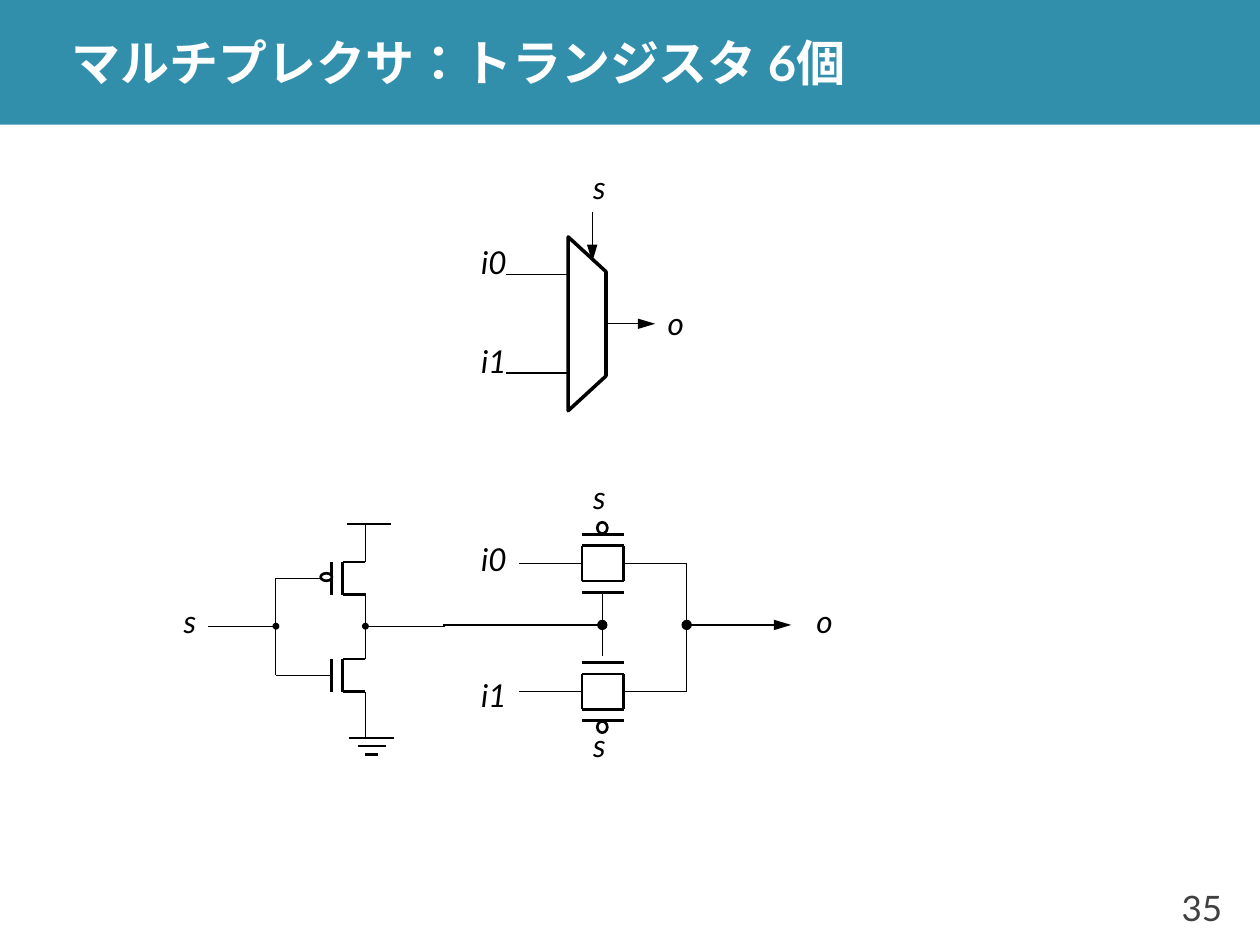
from lxml import etree
from pptx import Presentation
from pptx.dml.color import RGBColor
from pptx.enum import lang, shapes as sh, text as tx
from pptx.oxml import ns
from pptx.util import Inches, Pt

TEAL = RGBColor(0x32, 0x8F, 0xAC)
WHITE = RGBColor(0xFF, 0xFF, 0xFF)
BLACK = RGBColor(0, 0, 0)
GRAY = RGBColor(0x40, 0x40, 0x40)
FONT = "Lato"
THIN, WIRE, PLATE, BOLD = 0.25, 0.75, 1.5, 2
# Line ends: type, width, length
ARROW = ("triangle", "med", "lg")
DOT = ("oval", "med", "med")
SMALL_DOT = ("oval", "sm", "sm")


def style_text(sp, value, size, color, bold=False, italic=False,
               align=tx.PP_ALIGN.LEFT, wrap=False):
    tf = sp.text_frame
    tf.text = value
    tf.word_wrap = wrap
    tf.vertical_anchor = tx.MSO_ANCHOR.MIDDLE
    p = tf.paragraphs[0]
    p.alignment = align
    font = p.runs[0].font
    font.name, font.size, font.bold, font.italic = FONT, Pt(size), bold, italic
    font.color.rgb = color


def label(slide, box, x, y, value):
    """Italic signal name in a square whose corner is x, y from the box."""
    sp = slide.shapes.add_textbox(Inches(box[0] + x), Inches(box[1] + y),
                                  Inches(0.39), Inches(0.39))
    style_text(sp, value, 18, BLACK, italic=True)
    sp.text_frame.margin_right = 0


def wire(slide, box, x1, y1, x2, y2, width=WIRE, head=None, tail=None):
    """Straight line with optional ends."""
    c = slide.shapes.add_connector(
        sh.MSO_CONNECTOR.STRAIGHT, Inches(box[0] + x1), Inches(box[1] + y1),
        Inches(box[0] + x2), Inches(box[1] + y2))
    c.line.color.rgb = BLACK
    c.line.width = Pt(width)
    sp_pr = c.element.spPr
    ln = sp_pr.find(ns.qn("a:ln"))
    for tag, end in (("a:headEnd", head), ("a:tailEnd", tail)):
        if end:
            kind, w, length = end
            etree.SubElement(ln, ns.qn(tag), type=kind, w=w, len=length)
    etree.SubElement(sp_pr, ns.qn("a:effectLst"))


def channel(slide, box, *points):
    """Thick straight lines from each point to the next."""
    for start, end in zip(points, points[1:]):
        wire(slide, box, *start, *end, PLATE)


def path(slide, box, *points):
    """Bent wire through several points."""
    pts = [(Inches(box[0] + x), Inches(box[1] + y)) for x, y in points]
    fb = slide.shapes.build_freeform(*pts[0])
    fb.add_line_segments(pts[1:], close=False)
    sp = fb.convert_to_shape()
    sp.shadow.inherit = False
    sp.fill.background()
    sp.line.color.rgb = BLACK
    sp.line.width = Pt(0.5)


def outline(slide, box, kind, x, y, w, h, width=PLATE):
    """White preset shape with a black line, centred on x, y."""
    sp = slide.shapes.add_shape(kind, Inches(box[0] + x - w / 2),
                                Inches(box[1] + y - h / 2), Inches(w), Inches(h))
    sp.shadow.inherit = False
    sp.fill.solid()
    sp.fill.fore_color.rgb = WHITE
    sp.line.color.rgb = BLACK
    sp.line.width = Pt(width)
    return sp


def header(slide, left, top, width, height):
    title = slide.shapes.title
    band = slide.shapes.add_shape(sh.MSO_SHAPE.RECTANGLE, Inches(left), Inches(top),
                                  Inches(width), Inches(height))
    band.shadow.inherit = False
    band.fill.solid()
    band.fill.fore_color.rgb = TEAL
    band.line.fill.background()
    title.element.addprevious(band.element)
    title.left, title.top = Inches(left + 0.47), Inches(top)
    title.width, title.height = Inches(width - 0.47), Inches(height)
    style_text(title, "マルチプレクサ：トランジスタ 6個", 28, WHITE, bold=True, wrap=True)
    tf = title.text_frame
    tf.margin_top = tf.margin_bottom = 0
    tf.paragraphs[0].runs[0].font.language_id = lang.MSO_LANGUAGE_ID.JAPANESE


def page_number(slide, left, top, width, height):
    sp = slide.shapes.add_textbox(Inches(left), Inches(top), Inches(width), Inches(height))
    style_text(sp, "35", 20, GRAY, align=tx.PP_ALIGN.RIGHT)


def mux_symbol(slide, *box):
    for i, y in enumerate((0.89, 1.67)):
        wire(slide, box, 0.3, y, 0.79, y)
        label(slide, box, 0, 0.59 + 0.79 * i, f"i{i}")
    wire(slide, box, 0.98, 1.28, 1.48, 1.28, tail=ARROW)
    body = outline(slide, box, sh.MSO_SHAPE.FLOWCHART_MANUAL_OPERATION,
                   0.94, 1.28, 0.3 + 1.08, 0.3, BOLD)
    body.rotation = 270
    wire(slide, box, 0.98, 0.39, 0.98, 0.79, tail=ARROW)
    label(slide, box, 0.89, 0, "s")
    label(slide, box, 1.48, 1.08, "o")


def mosfet(slide, box, x, y):
    """Gate plate at x and channel to its right, y at the top lead."""
    bottom, body, lead = y + 0.26, x + 0.09, x + 0.27
    channel(slide, box, (x, y), (x, bottom))
    channel(slide, box, (lead, y), (body, y), (body, bottom), (lead, bottom))


def inverter(slide, *box):
    mid, gate_x, out_x = 0.81, 1.27, 1.54
    # Input and the two gates
    label(slide, box, 0, 0.57, "s")
    wire(slide, box, 0.83, mid, 0.29, mid, THIN, head=SMALL_DOT)
    path(slide, box, (0.83, 1.2), (0.83, 0.43), (1.19, 0.43))
    wire(slide, box, 0.83, 1.2, gate_x, 1.2)
    for y in (0.3, 1.07):
        mosfet(slide, box, gate_x, y)
    outline(slide, box, sh.MSO_SHAPE.OVAL, 1.23, 0.42, 0.09, 0.06)
    # Supply, output and ground
    for y1, y2 in ((0, 0.3), (0.55, 1.07), (1.33, 1.69)):
        wire(slide, box, out_x, y1, out_x, y2, THIN)
    wire(slide, box, out_x, mid, 2.17, mid, THIN, head=SMALL_DOT)
    wire(slide, box, 1.39, 0, 1.74, 0, PLATE)
    for y, half, width in ((1.7, 0.18, 1), (1.76, 0.11, 1), (1.83, 0.05, PLATE)):
        wire(slide, box, 1.59 - half, y, 1.59 + half, y, width)


def transmission_gate(slide, box, x, y, side):
    """Gate centred on x, y; side is -1 for a bubble above, 1 for below."""
    left, right = x - 0.16, x + 0.17
    for sign in (-1, 1):
        inner, edge, plate = (y + sign * d for d in (-0.05, 0.14, 0.23))
        channel(slide, box, (left, inner), (left, edge), (right, edge), (right, inner))
        channel(slide, box, (left, plate), (right, plate))
    outline(slide, box, sh.MSO_SHAPE.OVAL, x, y + side * 0.28, 0.08, 0.09)


def pass_gates(slide, *box):
    x, mid, out_x = 1.06, 1.21, 1.73
    gates = ((0.72, -1, 0.49, 0), (1.74, 1, 1.57, 1.97))
    for i, (y, side, in_y, s_y) in enumerate(gates):
        transmission_gate(slide, box, x, y, side)
        wire(slide, box, 0.4, y, 0.9, y)
        label(slide, box, 0, in_y, f"i{i}")
        label(slide, box, 0.89, s_y, "s")
    # Select line and joined output
    wire(slide, box, x, 1.46, x, 0.95)
    wire(slide, box, -0.2, mid, x, mid, tail=DOT)
    path(slide, box, (1.23, 0.72), (out_x, 0.72), (out_x, 1.74))
    wire(slide, box, 1.23, 1.74, out_x, 1.74)
    wire(slide, box, out_x, mid, 2.56, mid, head=DOT, tail=ARROW)
    label(slide, box, 2.66, 0.98, "o")


def main():
    prs = Presentation()
    prs.slide_width, prs.slide_height = Inches(10), Inches(7.5)
    slide = prs.slides.add_slide(prs.slide_layouts[5])
    header(slide, 0, 0, 10, 0.99)
    mux_symbol(slide, 3.72, 1.29)
    pass_gates(slide, 3.72, 3.75)
    inverter(slide, 1.36, 4.16)
    page_number(slide, 9.13, 6.9, 0.67, 0.6)
    prs.save("out.pptx")


if __name__ == "__main__":
    main()
